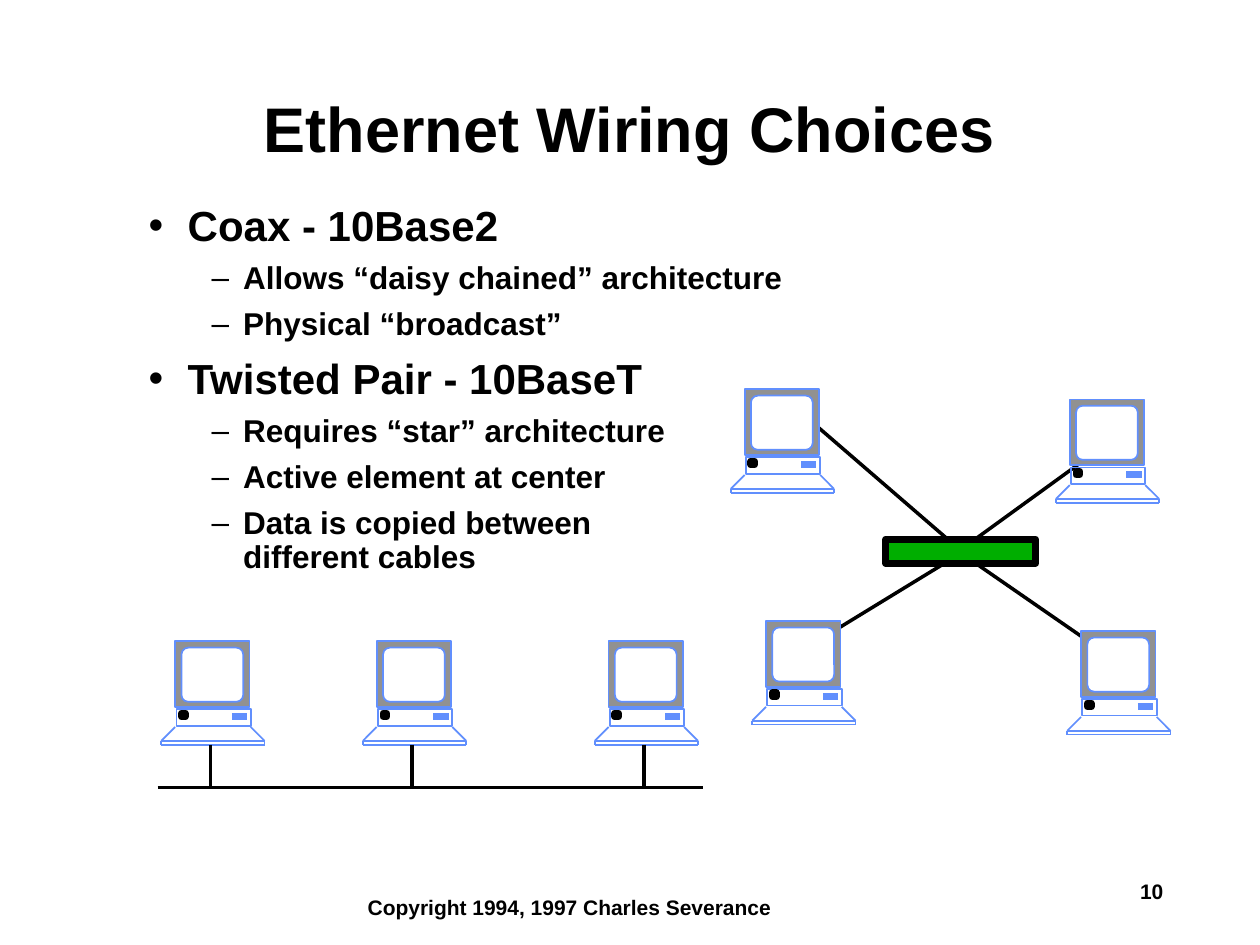
from copy import deepcopy

from lxml import etree
from pptx import Presentation
from pptx.dml.color import RGBColor
from pptx.enum.shapes import MSO_CONNECTOR, MSO_SHAPE
from pptx.enum.text import MSO_ANCHOR, MSO_AUTO_SIZE, PP_ALIGN
from pptx.oxml.ns import qn
from pptx.util import Inches, Pt

RECT, ROUND = MSO_SHAPE.RECTANGLE, MSO_SHAPE.ROUNDED_RECTANGLE
LINE = MSO_CONNECTOR.STRAIGHT
LEFT, CENTER = PP_ALIGN.LEFT, PP_ALIGN.CENTER
TOP, MIDDLE = MSO_ANCHOR.TOP, MSO_ANCHOR.MIDDLE
BLACK, WHITE, BLUE, GRAY, GREEN = "000000", "FFFFFF", "618FFD", "919191", "00AE00"

ITEMS = [
    (0, "Coax - 10Base2"),
    (1, "Allows “daisy chained” architecture"),
    (1, "Physical “broadcast”"),
    (0, "Twisted Pair - 10BaseT"),
    (1, "Requires “star” architecture"),
    (1, "Active element at center"),
    (1, "Data is copied between\ndifferent cables"),
]
LEVELS = [
    dict(size=24, mark="•", indent=0.31, hang=0.31, before=9),
    dict(size=18, mark="–", indent=0.75, hang=0.25, before=6.8),
]


def color(text):
    return RGBColor.from_string(text)


def place(item, box):
    item.left, item.top, item.width, item.height = map(Inches, box)


def write(para, text, size=12, align=LEFT, space=None, before=0,
          mark=None, indent=0, hang=0):
    para.text = text
    para.alignment = align
    para.line_spacing = space
    para.space_before = Pt(before)
    if mark:
        props = para._p.get_or_add_pPr()
        props.set("marL", str(Inches(indent)))
        props.set("indent", str(-Inches(hang)))
        tint = etree.SubElement(props, qn("a:buClr"))
        etree.SubElement(tint, qn("a:srgbClr"), val=BLACK)
        etree.SubElement(props, qn("a:buFont"), typeface="Arial")
        etree.SubElement(props, qn("a:buChar"), char=mark)
    for run in para.runs:
        font = run.font
        font.name, font.size, font.bold = "Arial", Pt(size), True
        font.color.rgb = color(BLACK)
    for gap in para._p.findall(qn("a:br")):
        gap.append(deepcopy(para.runs[0].font._element))


def frame(item, box, anchor=TOP):
    place(item, box)
    text = item.text_frame
    text.word_wrap = True
    text.auto_size = MSO_AUTO_SIZE.NONE
    text.vertical_anchor = anchor
    return text


def title(slide, box):
    text = frame(slide.shapes.title, box, MIDDLE)
    write(text.paragraphs[0], "Ethernet Wiring Choices", size=36,
          align=CENTER, space=0.9)


def body(slide, box):
    text = frame(slide.placeholders[1], box)
    for i, (level, words) in enumerate(ITEMS):
        para = text.add_paragraph() if i else text.paragraphs[0]
        para.level = level
        style = dict(LEVELS[level])
        if i == 0:
            style["before"] = 0
        write(para, words, space=0.9, **style)


def note(slide, box, words):
    item = slide.shapes.add_textbox(0, 0, 0, 0)
    write(frame(item, box).paragraphs[0], words)


def block(shapes, box, fill=None, edge=BLUE, width=1, kind=RECT):
    item = shapes.add_shape(kind, *map(Inches, box))
    item.shadow.inherit = False
    if fill:
        item.fill.solid()
        item.fill.fore_color.rgb = color(fill)
    else:
        item.fill.background()
    item.line.color.rgb = color(edge)
    item.line.width = Pt(width)
    return item


def wire(shapes, ends, tint=BLACK, width=2):
    item = shapes.add_connector(LINE, *map(Inches, ends))
    item.line.color.rgb = color(tint)
    item.line.width = Pt(width)
    etree.SubElement(item._element.spPr, qn("a:effectLst"))


def computer(shapes, x, y):
    group = shapes.add_group_shape().shapes
    block(group, (x + 0.11, y, 0.59, 0.52), GRAY)
    glass = block(group, (x + 0.16, y + 0.05, 0.49, 0.43), WHITE, kind=ROUND)
    glass.adjustments[0] = 0.125
    left, right, deck, desk, foot = x, x + 0.82, y + 0.68, y + 0.79, y + 0.82
    for ends in [
        (left + 0.11, deck, left, desk),
        (left, desk, right, desk),
        (left, foot, right, foot),
        (left, desk, left, foot),
        (right - 0.11, deck, right, desk),
        (right, desk, right, foot),
    ]:
        wire(group, ends, BLUE, 1)
    block(group, (x + 0.12, y + 0.54, 0.59, 0.13))
    wire(group, (x + 0.56, y + 0.6, x + 0.68, y + 0.6), BLUE, 4)
    block(group, (x + 0.16, y + 0.57, 0.03, 0.03), BLACK, BLACK, 4)


def chain(slide, box):
    x, y, wide, high = box
    group = slide.shapes.add_group_shape().shapes
    base = y + high
    spots = [x + step for step in (0.03, 1.63, 3.47)]
    for spot in spots:
        computer(group, spot, y)
    for spot in spots:
        wire(group, (spot + 0.39, y + 0.82, spot + 0.39, base))
    wire(group, (x, base, x + wide, base))


def star(slide, box):
    x, y, wide, high = box
    group = slide.shapes.add_group_shape().shapes
    for ends in [
        (2.81, 1.98, 1.87, 1.33),
        (1.78, 1.33, 0.7, 1.99),
        (2.78, 0.58, 1.87, 1.24),
        (1.78, 1.24, 0.53, 0.16),
    ]:
        a, b, c, d = ends
        wire(group, (x + a, y + b, x + c, y + d))
    right, low = x + wide - 0.82, y + high - 0.82
    for spot in [(x + 0.17, low - 0.08), (right, low),
                 (right - 0.09, y + 0.08), (x, y)]:
        computer(group, *spot)
    block(group, (x + 1.23, y + 1.19, 1.19, 0.19), GREEN, BLACK, 4)


def main():
    deck = Presentation()
    deck.slide_width, deck.slide_height = Inches(10), Inches(7.5)
    slide = deck.slides.add_slide(deck.slide_layouts[1])
    title(slide, (1.08, 0.67, 7.83, 0.75))
    body(slide, (1.08, 1.58, 7.83, 5.08))
    note(slide, (2.82, 7.05, 3.5, 0.3), "Copyright 1994, 1997 Charles Severance")
    note(slide, (8.95, 6.92, 1, 0.3), "10")
    chain(slide, (1.25, 5.09, 4.33, 1.16))
    star(slide, (5.8, 3.09, 3.49, 2.74))
    deck.save("out.pptx")


if __name__ == "__main__":
    main()
